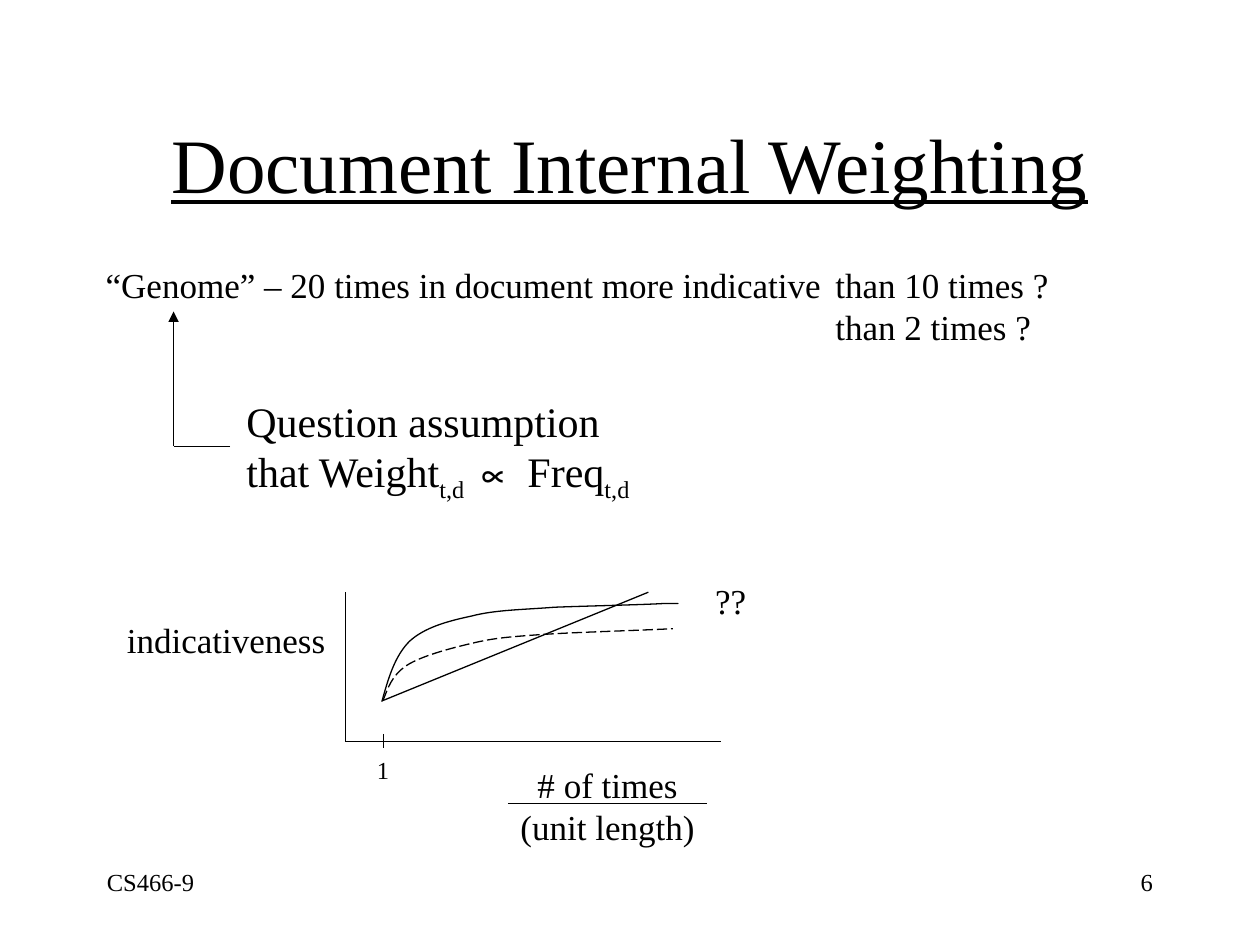
"""Build the slide on document internal weighting."""
from lxml import etree
from pptx import Presentation
from pptx.dml.color import RGBColor
from pptx.enum.dml import MSO_LINE
from pptx.enum.shapes import MSO_CONNECTOR
from pptx.enum.text import MSO_ANCHOR, MSO_AUTO_SIZE, PP_ALIGN
from pptx.oxml.ns import qn
from pptx.util import Pt

LEFT, MID, RIGHT = PP_ALIGN.LEFT, PP_ALIGN.CENTER, PP_ALIGN.RIGHT
FIT, NOFIT = MSO_AUTO_SIZE.SHAPE_TO_FIT_TEXT, MSO_AUTO_SIZE.NONE
CENTER, TOP = MSO_ANCHOR.MIDDLE, MSO_ANCHOR.TOP
STRAIGHT, DASH = MSO_CONNECTOR.STRAIGHT, MSO_LINE.LONG_DASH
COLORS = {"ink": "000000", "page": "FFFFFF"}
FONT, SIGN = "Times New Roman", "Arial"

TITLE = ("Document Internal Weighting", (54, 48, 612, 90), 44, MID)
LABELS = [
    ("“Genome” – 20 times in document more indicative", (53.3, 147, 430, 31.5), 20, LEFT),
    ("than 10 times ?\nthan 2 times ?", (470.3, 147, 138, 55.5), 20, LEFT),
    ("??", (401.6, 327.6, 33.5, 31.5), 20, LEFT),
    ("indicativeness", (65.4, 350, 129, 31.5), 20, LEFT),
    ("# of times\n(unit length)", (289.3, 432.8, 115.8, 55.5), 20, MID),
    ("1", (208.3, 427.7, 23, 24.5), 14, LEFT),
]
FOOTER = [
    ("6", (516, 492, 150, 36), 14, RIGHT),
    ("CS466-9", (54, 492, 150, 36), 14, LEFT),
]
CLAIM = ("Question assumption", (133.7, 222.5, 236.5, 69), 24, LEFT)
RULE = [("that Weight", FONT, 0), ("t,d", FONT, -25), (" ", FONT, 0),
        ("∝", SIGN, 0), (" Freq", FONT, 0), ("t,d", FONT, -25)]

LINES = [
    (131.5, 255.1, 99.2, 255.1),
    (197.4, 338.4, 197.4, 423.8),
    (197.4, 423.8, 411.8, 423.8),
    (218.9, 400.3, 370.5, 338.4),
    (290.2, 459, 404, 459),
    (219.1, 419.4, 219.1, 427.7),
]
ARROW = (99.2, 255.1, 99.2, 178)
SOLID = [
    (218.2, 401), (221.8, 388.1), (225.4, 375.1), (234, 366.5),
    (242.6, 358.6), (255.6, 355), (269.3, 352.1),
    (283, 348.5), (298.1, 348.5), (316.8, 347),
    (334.8, 346.3), (367.2, 345.6), (378.7, 344.9),
    (390.2, 344.9), (388.1, 344.9), (385.9, 344.9),
]
DASHED = [
    (218.9, 400.3), (221.8, 393.1), (223.9, 385.9), (232.6, 380.2),
    (240.5, 375.1), (256.3, 370.8), (268.6, 367.9),
    (280.8, 365), (286.6, 364.3), (306, 362.9),
    (325.4, 361.4), (355, 360.7), (384.5, 359.3),
]


def style(para, size, align):
    para.alignment = align
    para.font.size = Pt(size)
    para.font.name = FONT
    para.font.color.rgb = RGBColor.from_string(COLORS["ink"])


def add_text(slide, text, box, size, align, fit=FIT, anchor=TOP):
    frame = slide.shapes.add_textbox(*map(Pt, box)).text_frame
    frame.word_wrap = fit == NOFIT
    frame.auto_size = fit
    frame.vertical_anchor = anchor
    frame.text = text
    for para in frame.paragraphs:
        style(para, size, align)
    return frame


def add_rule(frame, size):
    para = frame.add_paragraph()
    style(para, size, LEFT)
    for text, font, base in RULE:
        run = para.add_run()
        run.text = text
        run.font.name = font
        if base:
            run.font._element.set("baseline", str(base * 1000))


def ink(line):
    line.color.rgb = RGBColor.from_string(COLORS["ink"])
    line.width = Pt(0.75)


def add_line(slide, ends):
    link = slide.shapes.add_connector(STRAIGHT, *map(Pt, ends))
    ink(link.line)
    etree.SubElement(link._element.spPr, qn("a:effectLst"))
    return link


def add_curve(slide, knots, dash=None):
    pen = slide.shapes.build_freeform(*map(Pt, knots[0]))
    pen.add_line_segments([tuple(map(Pt, knot)) for knot in knots[1:]], close=False)
    curve = pen.convert_to_shape()
    legs = list(curve._element.iter(qn("a:lnTo")))
    for i in range(0, len(legs), 3):
        bend = etree.Element(qn("a:cubicBezTo"))
        legs[i].addprevious(bend)
        for leg in legs[i:i + 3]:
            bend.append(leg[0])
            leg.getparent().remove(leg)
    curve.shadow.inherit = False
    curve.fill.background()
    ink(curve.line)
    curve.line.dash_style = dash


def main():
    deck = Presentation()
    deck.slide_width, deck.slide_height = Pt(720), Pt(540)
    slide = deck.slides.add_slide(deck.slide_layouts[6])
    slide.background.fill.solid()
    slide.background.fill.fore_color.rgb = RGBColor.from_string(COLORS["page"])

    title = add_text(slide, *TITLE, fit=NOFIT, anchor=CENTER)
    title.paragraphs[0].font.underline = True
    for label in LABELS:
        add_text(slide, *label)
    add_rule(add_text(slide, *CLAIM), CLAIM[2])

    for ends in LINES:
        add_line(slide, ends)
    arrow = add_line(slide, ARROW)
    etree.SubElement(arrow.line._get_or_add_ln(), qn("a:tailEnd"), type="triangle")
    add_curve(slide, SOLID)
    add_curve(slide, DASHED, DASH)

    for note in FOOTER:
        add_text(slide, *note, fit=NOFIT)
    deck.save("out.pptx")


if __name__ == "__main__":
    main()
